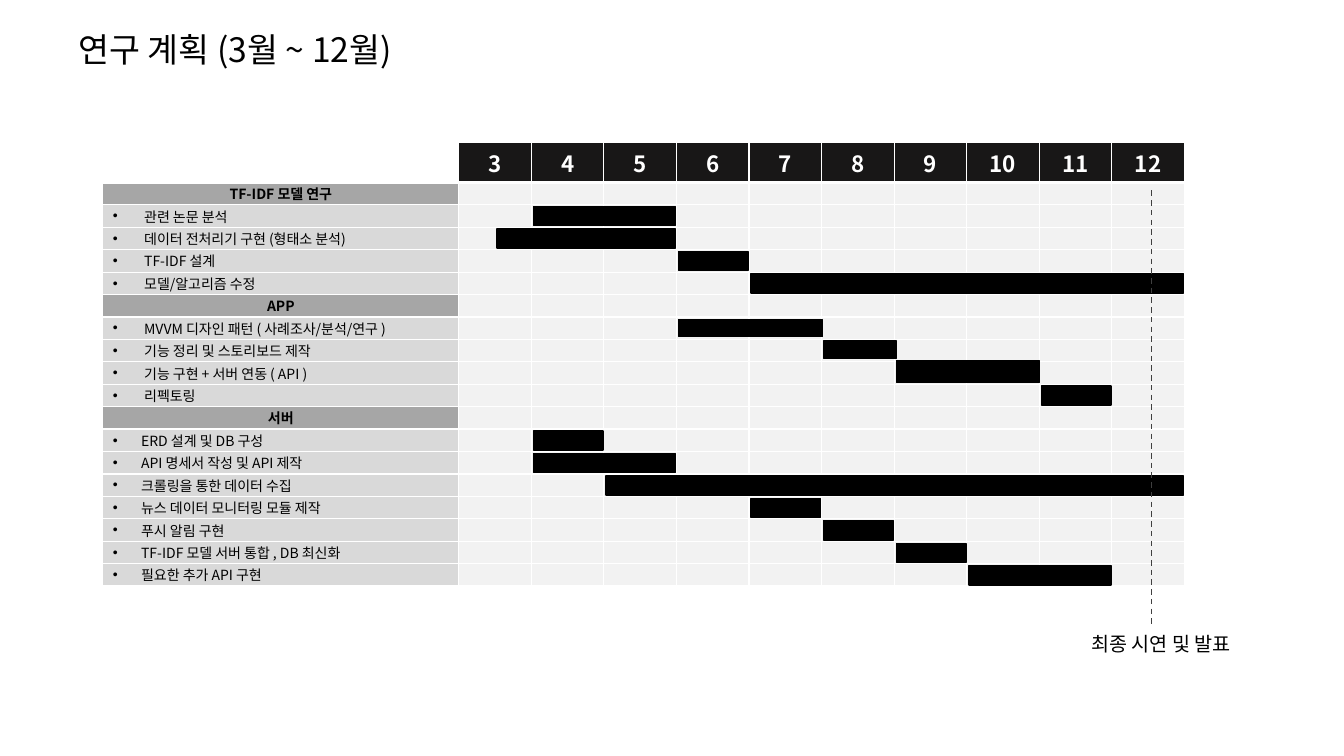
from dataclasses import dataclass

from lxml import etree
from pptx import Presentation
from pptx.dml import color
from pptx.enum import dml, shapes, text
from pptx.oxml import ns
from pptx.util import Inches, Pt


@dataclass(frozen=True)
class Theme:
    font: str = "Noto Sans CJK KR"
    black: str = "000000"
    white: str = "FFFFFF"
    head: str = "181717"
    group: str = "A6A6A6"
    label: str = "D9D9D9"
    grid: str = "F2F2F2"
    dash: str = "404040"
    title: int = 24
    month: int = 16
    note: int = 14
    body: int = 10


@dataclass(frozen=True)
class Task:
    name: str
    start: float  # month in which the bar begins
    months: float
    rise: float = 0  # lift above the usual bar top
    tall: float = 0.19
    extra: float = 0  # added bar width


@dataclass(frozen=True)
class Group:
    name: str
    indent: float
    tasks: tuple[Task, ...]


THEME = Theme()
GROUPS = (
    Group("TF-IDF 모델 연구", 0.31, (
        Task("관련 논문 분석", 4, 2),
        Task("데이터 전처리기 구현 (형태소 분석)", 3.5, 2.5),
        Task("TF-IDF 설계", 6, 1),
        Task("모델/알고리즘 수정", 7, 6),
    )),
    Group("APP", 0.31, (
        Task("MVVM 디자인 패턴 ( 사례조사/분석/연구 )", 6, 2, -0.01, 0.17, 0.02),
        Task("기능 정리 및 스토리보드 제작", 8, 1, 0, 0.17, 0.03),
        Task("기능 구현 + 서버 연동 ( API )", 9, 2, 0.03, 0.22, 0.01),
        Task("리펙토링", 11, 1),
    )),
    Group("서버", 0.28, (
        Task("ERD 설계 및 DB 구성", 4, 1),
        Task("API 명세서 작성 및 API 제작", 4, 2),
        Task("크롤링을 통한 데이터 수집", 5, 8),
        Task("뉴스 데이터 모니터링 모듈 제작", 7, 1),
        Task("푸시 알림 구현", 8, 1),
        Task("TF-IDF 모델 서버 통합 , DB 최신화", 9, 1),
        Task("필요한 추가 API 구현", 10, 2),
    )),
)

# Grid measures in inches
MONTHS = range(3, 13)
ROWS = sum(1 + len(group.tasks) for group in GROUPS)
LEFT, TOP, HIGH = 1.02, 1.41, 4.41
NAME_W, MONTH_W, HEAD_H = 3.53, 0.72, 0.4
ROW_H = (HIGH - HEAD_H) / ROWS


def rgb(code: str) -> color.RGBColor:
    return color.RGBColor.from_string(code)


def sub(parent, tag: str, **attrs):
    return etree.SubElement(parent, ns.qn(tag), attrs)


def write(para, words: str, size: int, tint: str, bold: bool = False) -> None:
    run = para.add_run()
    run.text = words
    font = run.font
    font.name, font.size, font.bold = THEME.font, Pt(size), bold
    font.color.rgb = rgb(tint)
    sub(font._element, "a:ea", typeface=THEME.font)


def style(cell, fill: str | None, top: int = 1, base: int = 1,
          side: float = 0.1, pad: float = 0.01) -> None:
    cell.margin_left = cell.margin_right = Inches(side)
    cell.margin_top = cell.margin_bottom = Inches(pad)
    cell.vertical_anchor = text.MSO_ANCHOR.MIDDLE
    props = cell._tc.get_or_add_tcPr()
    for edge, width in (("L", 1), ("R", 1), ("T", top), ("B", base)):
        line = sub(props, f"a:ln{edge}", w=str(Pt(width)))
        sub(sub(line, "a:solidFill"), "a:srgbClr", val=THEME.white)
    if fill:
        cell.fill.solid()
        cell.fill.fore_color.rgb = rgb(fill)
    else:
        cell.fill.background()


def shrink(cell) -> None:
    """Keep an empty cell from stretching its row."""
    para = cell.text_frame.paragraphs[0]._p
    sub(para, "a:endParaRPr", sz=str(THEME.body * 100))


def bullet(para, indent: float) -> None:
    props = para._p.get_or_add_pPr()
    props.set("marL", str(Inches(indent)))
    props.set("indent", str(-Inches(indent)))
    sub(props, "a:buFont", typeface="Arial")
    sub(props, "a:buChar", char="•")


def add_row(table, row: int, name: str, indent: float | None = None) -> None:
    top = 3 if row == 1 else 1
    cell = table.cell(row, 0)
    style(cell, THEME.group if indent is None else THEME.label, top)
    para = cell.text_frame.paragraphs[0]
    if indent is None:
        para.alignment = text.PP_ALIGN.CENTER
    else:
        bullet(para, indent)
    write(para, name, THEME.body, THEME.black, indent is None)
    for col in range(1, len(MONTHS) + 1):
        style(table.cell(row, col), THEME.grid, top)
        shrink(table.cell(row, col))


def add_bar(slide, task: Task, row: int) -> None:
    left = LEFT + NAME_W + MONTH_W * (task.start - MONTHS[0]) + 0.02
    top = TOP + HEAD_H + ROW_H * (row - 1) + 0.015 - task.rise
    width = MONTH_W * task.months - 0.03 + task.extra
    bar = slide.shapes.add_shape(shapes.MSO_SHAPE.RECTANGLE, Inches(left),
                                 Inches(top), Inches(width), Inches(task.tall))
    bar.shadow.inherit = False
    bar.fill.solid()
    bar.fill.fore_color.rgb = bar.line.color.rgb = rgb(THEME.black)
    bar.line.width = Pt(1)


def add_title(slide) -> None:
    title = slide.shapes.title
    title.left, title.top = Inches(0.68), Inches(0.24)
    title.width, title.height = Inches(4.26), Inches(0.5)
    frame = title.text_frame
    frame.vertical_anchor = text.MSO_ANCHOR.MIDDLE
    frame.auto_size = text.MSO_AUTO_SIZE.NONE
    para = frame.paragraphs[0]
    para.alignment = text.PP_ALIGN.LEFT
    write(para, "연구 계획 (3월 ~ 12월)", THEME.title, THEME.black)


def add_plan(slide) -> None:
    width = NAME_W + MONTH_W * len(MONTHS)
    table = slide.shapes.add_table(ROWS + 1, len(MONTHS) + 1, Inches(LEFT),
                                   Inches(TOP), Inches(width), Inches(HIGH)).table
    table.first_row = table.horz_banding = False
    for col, item in enumerate(table.columns):
        item.width = Inches(MONTH_W if col else NAME_W)
    for row, item in enumerate(table.rows):
        item.height = Inches(ROW_H if row else HEAD_H)

    # Month heads
    style(table.cell(0, 0), None, base=3)
    shrink(table.cell(0, 0))
    for col, month in enumerate(MONTHS, 1):
        cell = table.cell(0, col)
        style(cell, THEME.head, base=3, side=0, pad=0.04)
        para = cell.text_frame.paragraphs[0]
        para.alignment = text.PP_ALIGN.CENTER
        write(para, str(month), THEME.month, THEME.white, True)

    # Groups with their tasks and bars
    row = 1
    for group in GROUPS:
        add_row(table, row, group.name)
        for row, task in enumerate(group.tasks, row + 1):
            add_row(table, row, task.name, group.indent)
            add_bar(slide, task, row)
        row += 1


def add_final(slide) -> None:
    note = slide.shapes.add_shape(shapes.MSO_SHAPE.RECTANGLE, Inches(10.53),
                                  Inches(6.22), Inches(1.78), Inches(0.34))
    note.shadow.inherit = False
    note.fill.solid()
    note.fill.fore_color.rgb = rgb(THEME.white)
    note.line.fill.background()
    note.text_frame.word_wrap = False
    para = note.text_frame.paragraphs[0]
    para.alignment = text.PP_ALIGN.RIGHT
    write(para, "최종 시연 및 발표", THEME.note, THEME.black)

    mark = slide.shapes.add_connector(shapes.MSO_CONNECTOR.STRAIGHT, Inches(11.42),
                                      Inches(1.89), Inches(11.42), Inches(6.22))
    mark.end_connect(note, 0)
    mark.line.color.rgb = rgb(THEME.dash)
    mark.line.width = Pt(1)
    mark.line.dash_style = dml.MSO_LINE.DASH
    sub(mark._element.spPr, "a:effectLst")


def main() -> None:
    deck = Presentation()
    deck.slide_width, deck.slide_height = Inches(13.33), Inches(7.5)
    slide = deck.slides.add_slide(deck.slide_layouts[5])
    add_title(slide)
    add_plan(slide)
    add_final(slide)
    deck.save("out.pptx")


if __name__ == "__main__":
    main()
